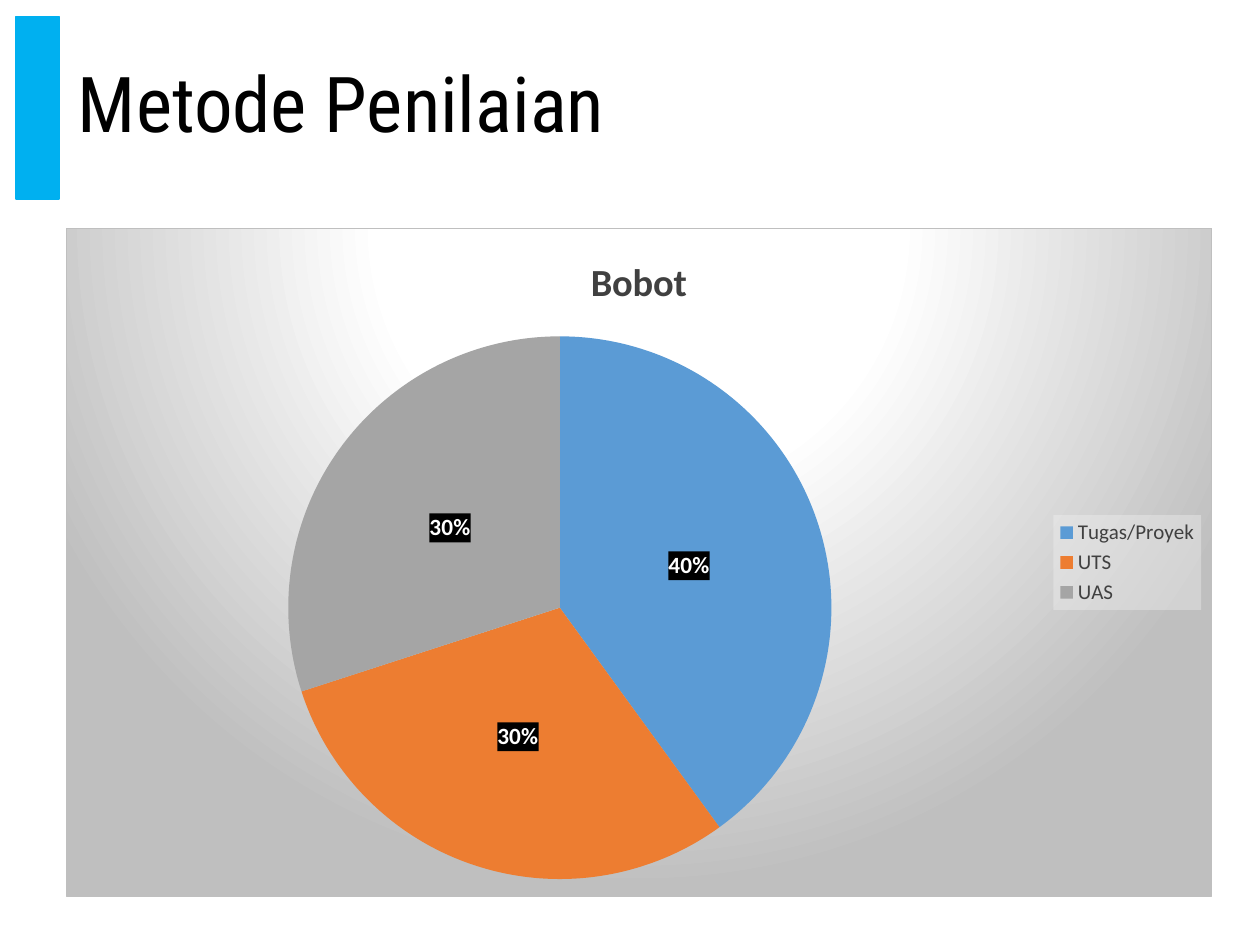
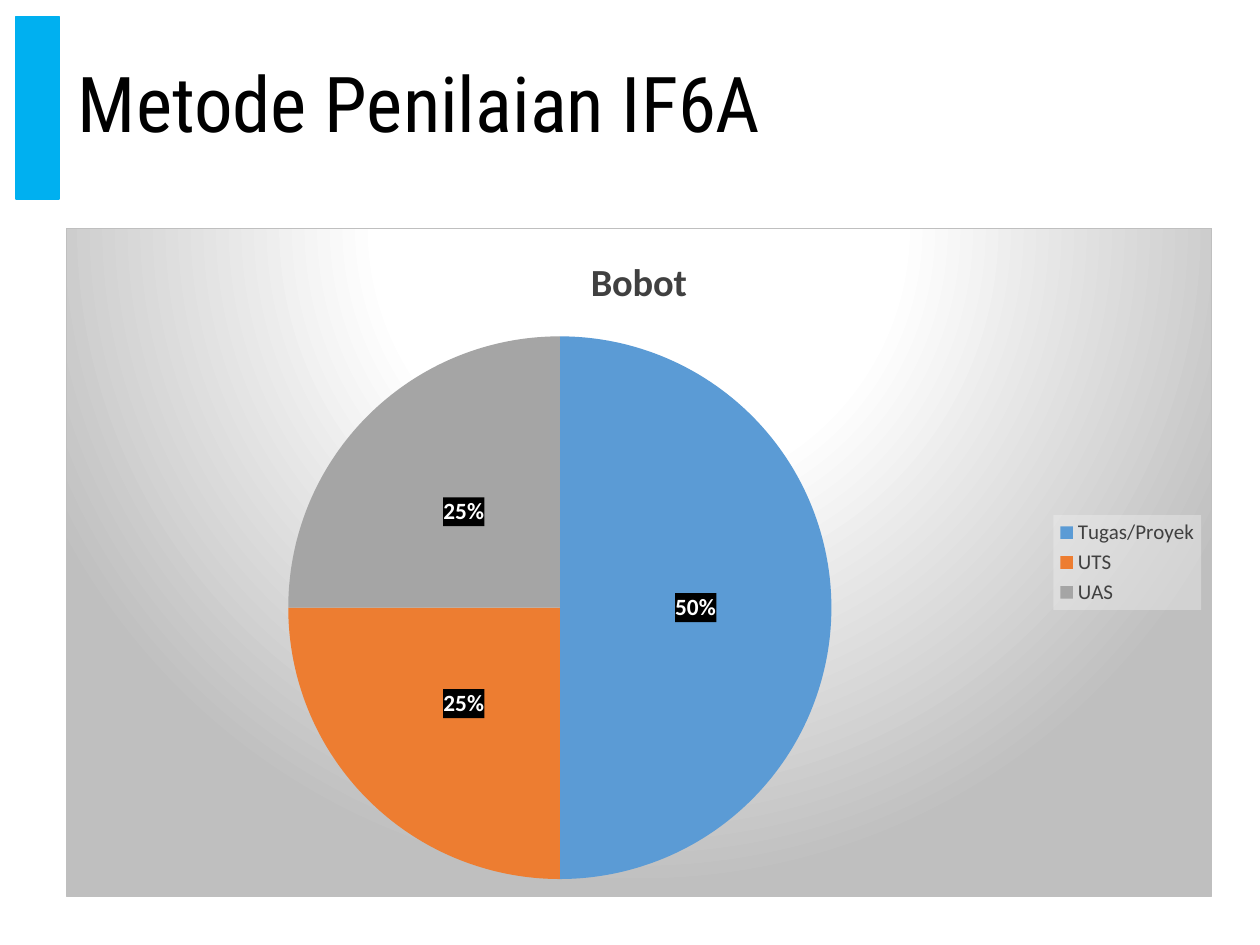
"""Build two grading-method slides, each with a title band and a pie chart of weights."""
import lxml.etree
import pptx
import pptx.chart.data
import pptx.dml.color
import pptx.enum.chart
import pptx.enum.shapes
import pptx.enum.text
import pptx.oxml.ns
import pptx.util


def rgb(code):
    return pptx.dml.color.RGBColor.from_string(code)


def style_box(anchor, fill, line="<a:ln><a:noFill/></a:ln>"):
    ns = pptx.oxml.ns.nsdecls("c", "a")
    anchor.addprevious(lxml.etree.fromstring(f"<c:spPr {ns}>{fill}{line}</c:spPr>"))


ACCENT, BLACK, DARK, WHITE, GREY = "00B0F0", "000000", "404040", "FFFFFF", "BFBFBF"
SLICE_COLORS = ["5B9BD5", "ED7D31", "A5A5A5"]
TITLE_FONT, BODY_FONT = "Roboto Condensed", "Calibri"
CATEGORIES = ["Tugas/Proyek", "UTS", "UAS"]
SLIDES = [
    ("Metode Penilaian", [40, 30, 30]),
    ("Metode Penilaian IF6A", [50, 25, 25]),
]

SPOTLIGHT = (
    '<a:gradFill><a:gsLst>'
    f'<a:gs pos="0"><a:srgbClr val="{WHITE}"/></a:gs>'
    f'<a:gs pos="39000"><a:srgbClr val="{WHITE}"/></a:gs>'
    f'<a:gs pos="100000"><a:srgbClr val="{GREY}"/></a:gs></a:gsLst>'
    '<a:path path="circle"><a:fillToRect l="50000" t="-80000" r="50000" b="180000"/></a:path>'
    '</a:gradFill>'
)
BORDER = f'<a:ln w="9525"><a:solidFill><a:srgbClr val="{GREY}"/></a:solidFill></a:ln>'
TINT = '<a:solidFill><a:srgbClr val="{}"><a:alpha val="{}"/></a:srgbClr></a:solidFill>'

prs = pptx.Presentation()
prs.slide_width = pptx.util.Inches(10)
prs.slide_height = pptx.util.Inches(7.5)
W, H = prs.slide_width, prs.slide_height
margin = int(W * 0.013)
band_w, band_h = int(W * 0.034), int(H * 0.193)
left, width = int(W * 0.052), int(W * 0.91)
chart_top, chart_h = int(H * 0.2413), int(H * 0.708)

for title, weights in SLIDES:
    s = prs.slides.add_slide(prs.slide_layouts[6])

    sp = s.shapes.add_shape(
        pptx.enum.shapes.MSO_SHAPE.RECTANGLE, margin, margin, band_w, band_h)
    sp.shadow.inherit = False
    sp.fill.solid()
    sp.fill.fore_color.rgb = rgb(ACCENT)
    sp.line.color.rgb = rgb(ACCENT)
    sp.line.width = pptx.util.Pt(1)

    tf = s.shapes.add_textbox(left, margin, width, band_h).text_frame
    tf.word_wrap = True
    tf.vertical_anchor = pptx.enum.text.MSO_ANCHOR.MIDDLE
    p = tf.paragraphs[0]
    p.line_spacing = 0.9
    r = p.add_run()
    r.text = title
    r.font.name = TITLE_FONT
    r.font.size = pptx.util.Pt(44)
    r.font.color.rgb = rgb(BLACK)

    data = pptx.chart.data.CategoryChartData()
    data.categories = CATEGORIES
    data.add_series("Bobot", weights)
    chart = s.shapes.add_chart(
        pptx.enum.chart.XL_CHART_TYPE.PIE, left, chart_top, width, chart_h, data).chart

    chart.has_title = True
    chart.chart_title.include_in_layout = False
    r = chart.chart_title.text_frame.paragraphs[0].add_run()
    r.text = "Bobot"

    chart.has_legend = True
    legend = chart.legend
    legend.position = pptx.enum.chart.XL_LEGEND_POSITION.RIGHT
    legend.include_in_layout = False

    plot = chart.plots[0]
    plot.vary_by_categories = True
    series = plot.series[0]
    for i, color in enumerate(SLICE_COLORS):
        fill = series.points[i].format.fill
        fill.solid()
        fill.fore_color.rgb = rgb(color)

    labels = series.data_labels
    labels.show_value = False
    labels.show_percentage = True
    labels.number_format = "0%"
    labels.number_format_is_linked = False
    labels.position = pptx.enum.chart.XL_LABEL_POSITION.CENTER

    for font, size, color, bold in [
        (chart.font, 10, BLACK, False),
        (r.font, 22, DARK, True),
        (legend.font, 12, DARK, False),
        (labels.font, 13.3, WHITE, True),
    ]:
        font.name = BODY_FONT
        font.size = pptx.util.Pt(size)
        font.color.rgb = rgb(color)
        font.bold = bold

    root = chart._chartSpace
    style_box(root.xpath("c:txPr")[0], SPOTLIGHT, BORDER)
    style_box(root.xpath(".//c:legend/c:txPr")[0], TINT.format("F2F2F2", 39000))
    style_box(root.xpath(".//c:ser/c:dLbls/c:txPr")[0], TINT.format(BLACK, 75000))

prs.save("out.pptx")
